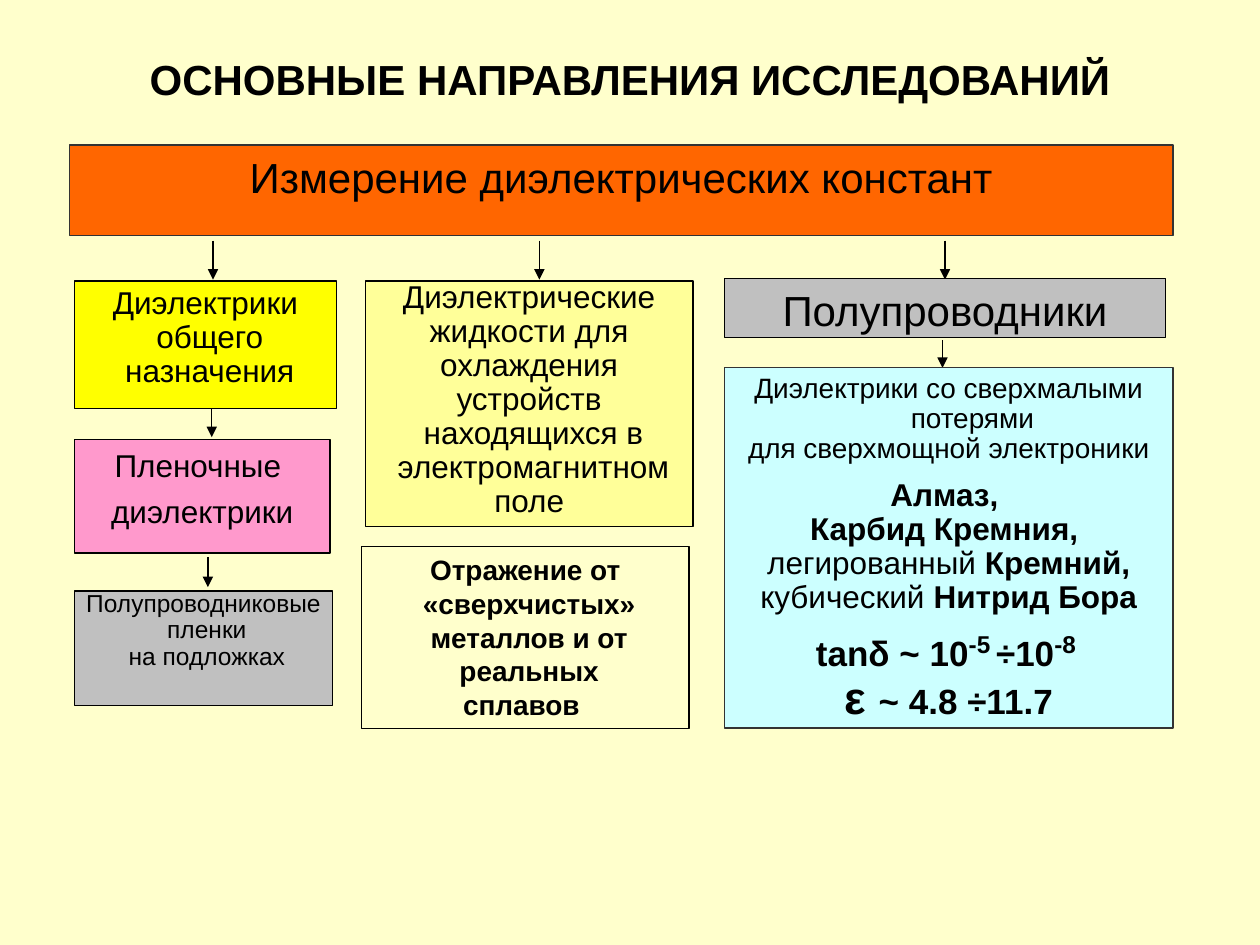
from dataclasses import dataclass
from typing import Optional

from lxml import etree
from pptx import Presentation
from pptx.dml.color import RGBColor
from pptx.enum.shapes import MSO_CONNECTOR, MSO_SHAPE
from pptx.enum.text import MSO_ANCHOR, PP_ALIGN
from pptx.oxml.ns import qn
from pptx.util import Pt

RECTANGLE = MSO_SHAPE.RECTANGLE
STRAIGHT = MSO_CONNECTOR.STRAIGHT
CENTER = PP_ALIGN.CENTER
TOP = MSO_ANCHOR.TOP
MIDDLE = MSO_ANCHOR.MIDDLE

FONT = "Arial"
BLACK = "000000"
DARK_GRAY = "333333"
GRAY = "C0C0C0"
LINE_WIDTH = 0.75
HANGING_INDENT = 27
LEFT_COLUMN = 42.5
RIGHT_COLUMN = 414
BRANCH_TOP = 160.6


@dataclass
class Run:
    text: str
    size: float
    bold: bool = False
    superscript: bool = False


@dataclass
class Line:
    runs: list[Run]
    space_before: float = 0


@dataclass
class Box:
    left: float
    top: float
    width: float
    height: float
    fill: Optional[str]
    lines: list[Line]
    outline: str = BLACK
    spacing: float = 0.9
    padded: bool = True


@dataclass
class Arrow:
    x: float
    start: float
    end: float


def plain_lines(texts: list[str], size: float, bold: bool = False, gap: float = 0) -> list[Line]:
    """One line per text, with a gap between neighbours."""
    return [Line([Run(text, size, bold)], gap if index else 0) for index, text in enumerate(texts)]


ARROWS = [
    *(Arrow(x, 137.5, 159.8) for x in (121.7, 308.2, 540)),
    Arrow(121, 233.3, 249.8),
    Arrow(118.8, 318.2, 335.5),
    Arrow(538.6, 194.4, 210.2),
]

LOW_LOSS_LINES = [
    *plain_lines(["Диэлектрики со сверхмалыми потерями", "для сверхмощной электроники"], 16),
    Line([Run("Алмаз, ", 18, True)], 8.3),
    Line([Run("Карбид Кремния, ", 18, True)]),
    Line([Run("легированный", 18), Run(" Кремний,", 18, True)]),
    Line([Run("кубический", 18), Run(" Нитрид Бора", 18, True)]),
    Line(
        [
            Run("tanδ ~ 10", 20, True),
            Run("-5", 24, True, True),
            Run(" ", 20, True, True),
            Run("÷10", 20, True),
            Run("-8", 24, True, True),
            Run(" ", 20, True, True),
        ],
        8.3,
    ),
    Line([Run("ε ", 26, True), Run("~ 4.8 ÷11.7", 20, True)]),
]

BOXES = [
    Box(RIGHT_COLUMN, 210.2, 256.3, 205.9, "CCFFFF", LOW_LOSS_LINES, DARK_GRAY),
    Box(39.6, 82.8, 630.7, 51.8, "FF6600",
        plain_lines(["Измерение диэлектрических констант"], 24), DARK_GRAY, 1),
    Box(LEFT_COLUMN, BRANCH_TOP, 149.8, 72.7, "FFFF00",
        plain_lines(["Диэлектрики", " общего", " назначения"], 18)),
    Box(LEFT_COLUMN, 251.3, 146.2, 64.8, "FF99CC",
        plain_lines(["Пленочные ", "диэлектрики"], 18, gap=4.5), spacing=1),
    Box(208.8, BRANCH_TOP, 187.2, 140.4, "FFFF99",
        plain_lines(["Диэлектрические", "жидкости для", " охлаждения ", "устройств",
                     " находящихся в", " электромагнитном", "поле"], 18), padded=False),
    Box(RIGHT_COLUMN, 159.1, 252, 33.8, GRAY, plain_lines(["Полупроводники"], 24), spacing=1),
    Box(206.6, 312.5, 187.2, 103.7, None,
        plain_lines(["Отражение от", " «сверхчистых»", " металлов и от", " реальных", "сплавов "],
                    16, bold=True), spacing=1),
    Box(LEFT_COLUMN, 337.7, 147.6, 65.5, GRAY,
        plain_lines(["Полупроводниковые", " пленки", " на подложках"], 14), padded=False),
]


def color(hex_value: str) -> RGBColor:
    return RGBColor.from_string(hex_value)


def add_run(paragraph, item: Run) -> None:
    run = paragraph.add_run()
    run.text = item.text
    run.font.name = FONT
    run.font.size = Pt(item.size)
    run.font.bold = item.bold
    run.font.color.rgb = color(BLACK)
    if item.superscript:
        run._r.get_or_add_rPr().set("baseline", "30000")


def add_title(slide, text: str) -> None:
    frame = slide.shapes.add_textbox(Pt(0), Pt(0), Pt(720), Pt(90)).text_frame
    frame.word_wrap = True
    frame.vertical_anchor = MIDDLE
    paragraph = frame.paragraphs[0]
    paragraph.alignment = CENTER
    add_run(paragraph, Run(text, 24, True))


def add_arrow(slide, arrow: Arrow) -> None:
    connector = slide.shapes.add_connector(
        STRAIGHT, Pt(arrow.x), Pt(arrow.start), Pt(arrow.x), Pt(arrow.end))
    connector.line.color.rgb = color(BLACK)
    connector.line.width = Pt(LINE_WIDTH)
    etree.SubElement(connector.line._get_or_add_ln(), qn("a:tailEnd"), type="triangle")
    etree.SubElement(connector._element.spPr, qn("a:effectLst"))


def add_box(slide, box: Box) -> None:
    shape = slide.shapes.add_shape(
        RECTANGLE, Pt(box.left), Pt(box.top), Pt(box.width), Pt(box.height))
    shape.shadow.inherit = False
    if box.fill is None:
        shape.fill.background()
    else:
        shape.fill.solid()
        shape.fill.fore_color.rgb = color(box.fill)
    shape.line.color.rgb = color(box.outline)
    shape.line.width = Pt(LINE_WIDTH)

    frame = shape.text_frame
    frame.word_wrap = True
    frame.vertical_anchor = TOP
    frame.margin_left = frame.margin_right = Pt(7.2 if box.padded else 0)
    frame.margin_top = frame.margin_bottom = Pt(3.6 if box.padded else 0)
    for index, line in enumerate(box.lines):
        paragraph = frame.add_paragraph() if index else frame.paragraphs[0]
        paragraph.alignment = CENTER
        paragraph.line_spacing = box.spacing
        if line.space_before:
            paragraph.space_before = Pt(line.space_before)
        properties = paragraph._p.get_or_add_pPr()
        properties.set("marL", str(Pt(HANGING_INDENT)))
        properties.set("indent", str(-Pt(HANGING_INDENT)))
        for item in line.runs:
            add_run(paragraph, item)


def main() -> None:
    presentation = Presentation()
    presentation.slide_width = Pt(720)
    presentation.slide_height = Pt(540)
    slide = presentation.slides.add_slide(presentation.slide_layouts[6])
    slide.background.fill.solid()
    slide.background.fill.fore_color.rgb = color("FFFFCC")
    add_title(slide, "ОСНОВНЫЕ НАПРАВЛЕНИЯ ИССЛЕДОВАНИЙ")
    for arrow in ARROWS:
        add_arrow(slide, arrow)
    for box in BOXES:
        add_box(slide, box)
    presentation.save("out.pptx")


if __name__ == "__main__":
    main()
